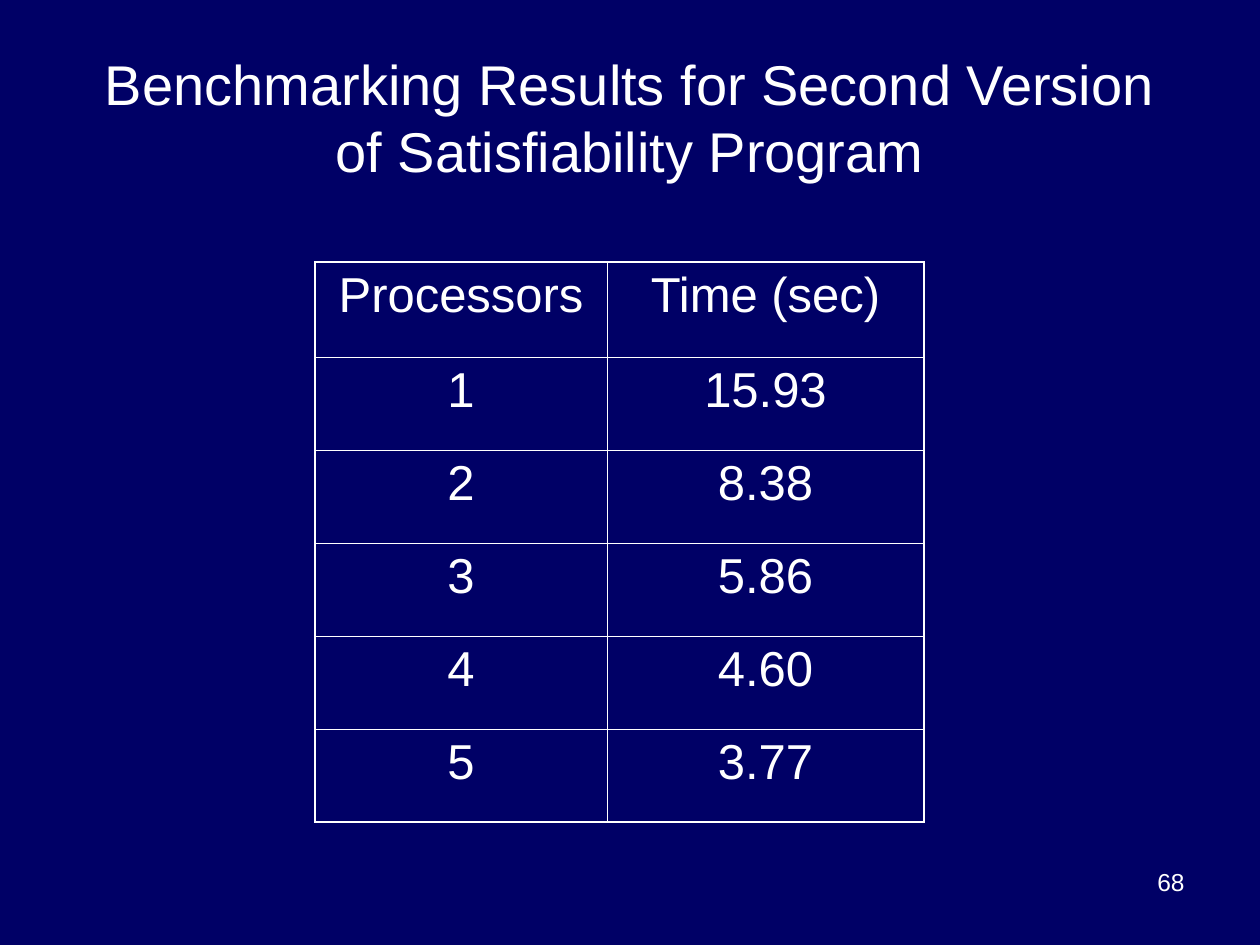
from lxml.etree import SubElement
from pptx import Presentation
from pptx.dml.color import RGBColor
from pptx.enum.text import MSO_ANCHOR, MSO_AUTO_SIZE, PP_ALIGN
from pptx.oxml.ns import qn
from pptx.util import Emu, Pt

PX_PER_INCH = 126
NAVY = "000066"
WHITE = "FFFFFF"
FONT = "Arial"
OUTER_LINE = 1.08
INNER_LINE = 0.45

RESULTS = [
    ("Processors", "Time (sec)"),
    ("1", "15.93"),
    ("2", "8.38"),
    ("3", "5.86"),
    ("4", "4.60"),
    ("5", "3.77"),
]
COLUMN_WIDTHS = [292, 317]
HEADER_HEIGHT = 95
ROW_HEIGHT = 93


def px(length):
    return Emu(round(length * 914400 / PX_PER_INCH))


def color(hex_string):
    return RGBColor.from_string(hex_string)


def write(text_frame, text, size, alignment):
    text_frame.text = text
    para = text_frame.paragraphs[0]
    para.alignment = alignment
    for span in para.runs:
        span.font.name = FONT
        span.font.size = Pt(size)
        span.font.bold = False
        span.font.color.rgb = color(WHITE)


def add_title(page, text):
    title = page.shapes.title
    title.left, title.top, title.width, title.height = map(px, (63, 38, 1134, 157))
    title.text_frame.auto_size = MSO_AUTO_SIZE.NONE
    title.text_frame.vertical_anchor = MSO_ANCHOR.MIDDLE
    write(title.text_frame, text, 32, PP_ALIGN.CENTER)


def set_borders(cell, widths):
    """Draw white borders, with widths in points for left, right, top, bottom."""
    properties = cell._tc.get_or_add_tcPr()
    for position, (side, width) in enumerate(zip("LRTB", widths)):
        line = SubElement(properties, qn(f"a:ln{side}"), w=str(Pt(width)))
        properties.insert(position, line)
        fill = SubElement(line, qn("a:solidFill"))
        SubElement(fill, qn("a:srgbClr"), val=WHITE)


def add_results_table(page, rows):
    row_heights = [HEADER_HEIGHT] + [ROW_HEIGHT] * (len(rows) - 1)
    frame = page.shapes.add_table(
        len(rows), len(COLUMN_WIDTHS), px(315), px(262),
        px(sum(COLUMN_WIDTHS)), px(sum(row_heights)),
    )
    table = frame.table
    table.first_row = table.horz_banding = False
    for column, width in zip(table.columns, COLUMN_WIDTHS):
        column.width = px(width)
    last_row, last_column = len(rows) - 1, len(COLUMN_WIDTHS) - 1
    for row_index, values in enumerate(rows):
        table.rows[row_index].height = px(row_heights[row_index])
        for column_index, value in enumerate(values):
            cell = table.cell(row_index, column_index)
            cell.fill.background()
            write(cell.text_frame, value, 28, PP_ALIGN.CENTER)
            on_edge = (column_index == 0, column_index == last_column,
                       row_index == 0, row_index == last_row)
            set_borders(cell, [OUTER_LINE if edge else INNER_LINE for edge in on_edge])


def add_page_number(page, number):
    box = page.shapes.add_textbox(px(903), px(861), px(294), px(66))
    box.text_frame.word_wrap = True
    write(box.text_frame, number, 14, PP_ALIGN.RIGHT)


def main():
    deck = Presentation()
    deck.slide_width, deck.slide_height = px(1260), px(945)
    page = deck.slides.add_slide(deck.slide_layouts.get_by_name("Title Only"))
    page.background.fill.solid()
    page.background.fill.fore_color.rgb = color(NAVY)
    add_title(page, "Benchmarking Results for Second Version of Satisfiability Program")
    add_results_table(page, RESULTS)
    add_page_number(page, "68")
    deck.save("out.pptx")


if __name__ == "__main__":
    main()
